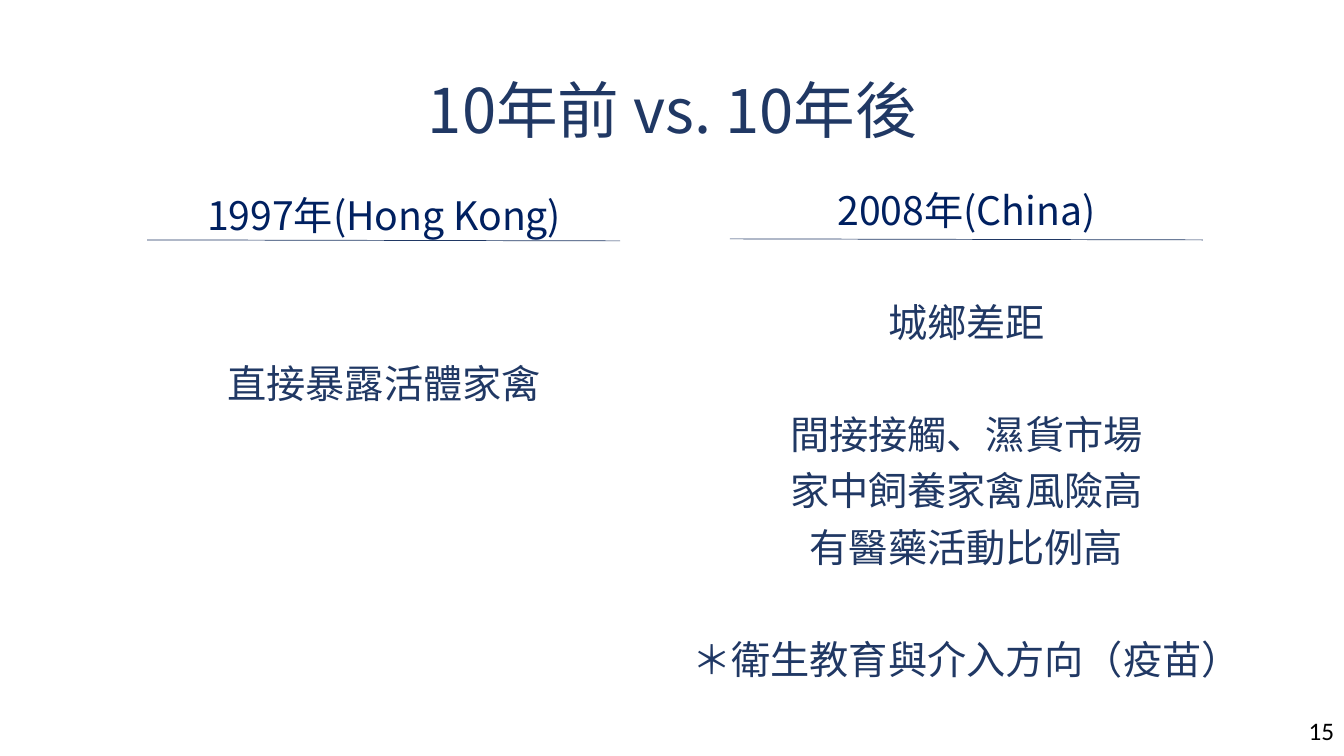
from pptx import Presentation
from pptx.dml.color import RGBColor as RGB
from pptx.enum.shapes import MSO_CONNECTOR as CONN
from pptx.enum.text import MSO_ANCHOR as ANCHOR, MSO_AUTO_SIZE as AUTO, PP_ALIGN as ALIGN
from pptx.oxml.ns import qn
from pptx.util import Inches, Pt
from lxml import etree

NAVY = RGB(0x20, 0x38, 0x64)
DEEP = RGB(0x00, 0x20, 0x60)
BLACK = RGB(0, 0, 0)
SANS = "Noto Sans CJK SC"


class Deck:
    def __init__(self):
        self.prs = Presentation()
        self.prs.slide_width = Inches(13.33)
        self.prs.slide_height = Inches(7.5)
        # Layout 3 holds a title and two content bodies
        self.slide = self.prs.slides.add_slide(self.prs.slide_layouts[3])

    def place(self, shape, box):
        shape.left, shape.top, shape.width, shape.height = map(Inches, box)

    def style(self, para, size, color, face=SANS):
        for run in para.runs:
            font = run.font
            font.size, font.name, font.color.rgb = Pt(size), face, color
            east = etree.SubElement(run._r.get_or_add_rPr(), qn("a:ea"))
            east.set("typeface", face)

    def title(self, text, box):
        shape = self.slide.shapes.title
        self.place(shape, box)
        frame = shape.text_frame
        frame.text = text
        frame.auto_size = AUTO.NONE
        frame.vertical_anchor = ANCHOR.MIDDLE
        para = frame.paragraphs[0]
        para.alignment, para.line_spacing = ALIGN.CENTER, 0.9
        self.style(para, 44, NAVY)

    def body(self, index, box, rows):
        """Rows are (text, color, line spacing, points before)."""
        shape = self.slide.placeholders[index]
        self.place(shape, box)
        frame = shape.text_frame
        frame.auto_size = AUTO.NONE
        frame.text = "\n".join(row[0] for row in rows)
        for para, (_, color, pitch, gap) in zip(frame.paragraphs, rows):
            props = para._p.get_or_add_pPr()
            props.set("marL", "0")
            props.set("indent", "0")
            etree.SubElement(props, qn("a:buNone"))
            para.alignment, para.line_spacing = ALIGN.CENTER, pitch
            para.space_before = Pt(gap)
            self.style(para, 28, color)

    def rule(self, left, top):
        ends = left, top, left + 4.69, top + 0.01
        line = self.slide.shapes.add_connector(CONN.STRAIGHT, *map(Inches, ends))
        line.line.color.rgb, line.line.width = NAVY, Pt(0.5)
        etree.SubElement(line._element.spPr, qn("a:effectLst"))

    def number(self, text, box):
        shape = self.slide.shapes.add_textbox(*map(Inches, box))
        frame = shape.text_frame
        frame.text = text
        frame.word_wrap, frame.auto_size = False, AUTO.SHAPE_TO_FIT_TEXT
        self.style(frame.paragraphs[0], 18, BLACK, "Calibri")


def main():
    deck = Deck()
    deck.title("10年前 vs. 10年後", (0.92, 0.4, 11.5, 1.45))

    # Two columns
    deck.body(1, (0.75, 1.61, 6.12, 5.4), [
        ("1997年(Hong Kong)", DEEP, 1.5, 0),
        ("直接暴露活體家禽", NAVY, 1.5, 70)])
    deck.body(2, (6.75, 1.61, 5.67, 5.58), [
        ("2008年(China)", DEEP, 1.4, 0),
        ("城鄉差距", NAVY, 0.9, 50),
        ("間接接觸、濕貨市場", NAVY, 0.9, 50),
        ("家中飼養家禽風險高", NAVY, 0.9, 10),
        ("有醫藥活動比例高", NAVY, 0.9, 10),
        ("＊衛生教育與介入方向（疫苗）", NAVY, 0.9, 50)])

    # Heading rules and page number
    deck.rule(1.46, 2.38)
    deck.rule(7.24, 2.37)
    deck.number("15", (12.88, 7.05, 0.46, 0.4))
    deck.prs.save("out.pptx")


if __name__ == "__main__":
    main()
